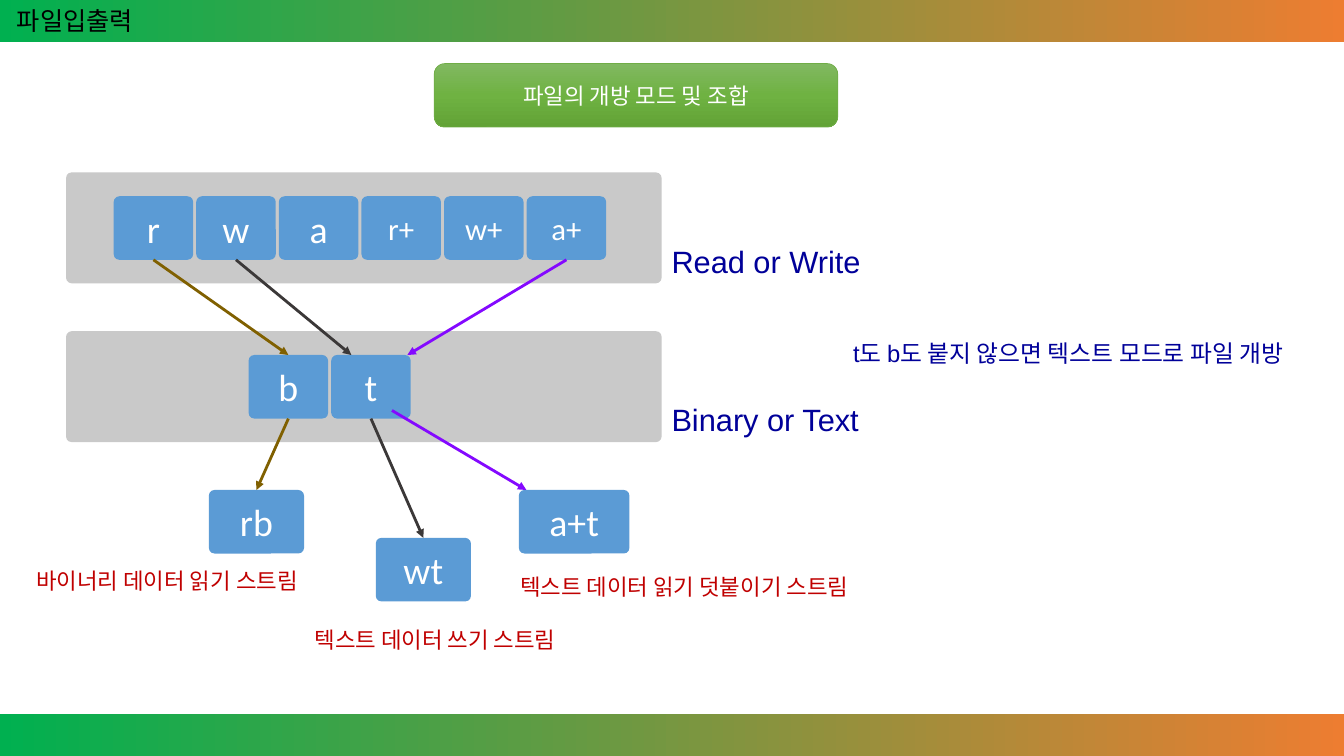
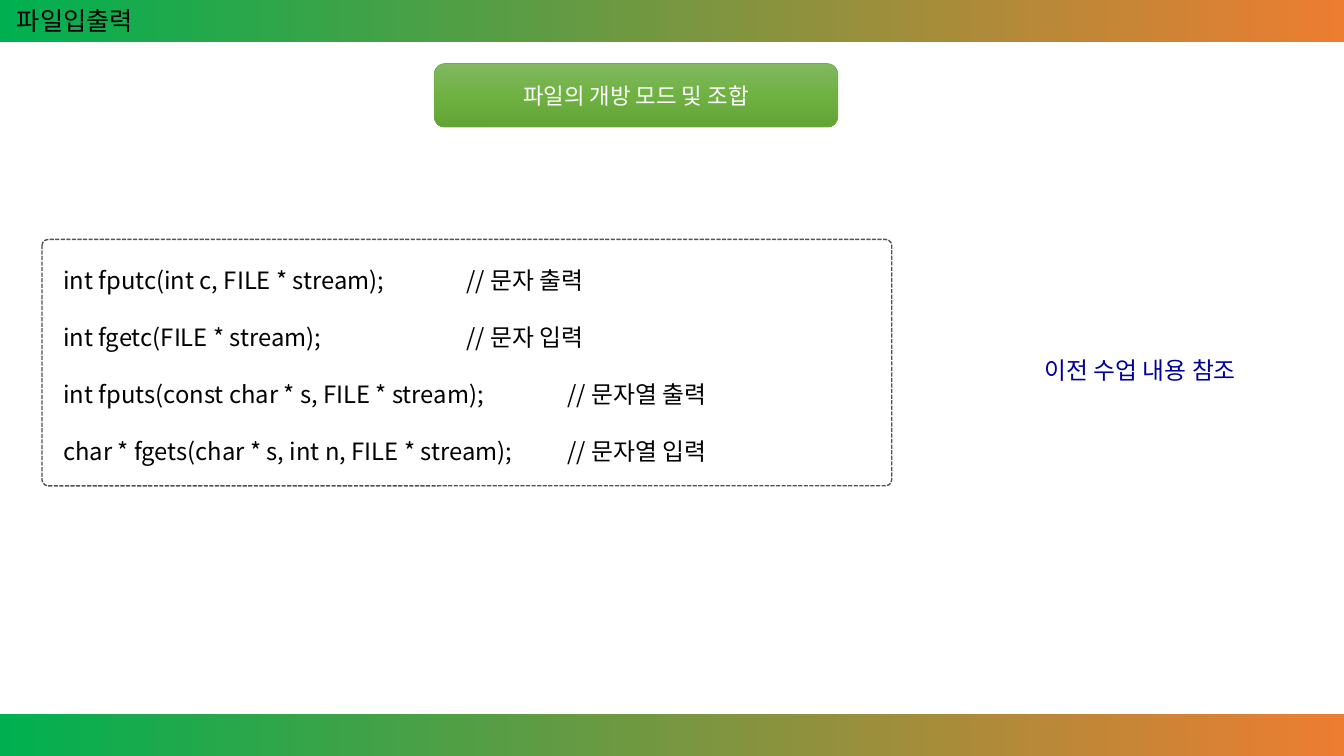
from dataclasses import dataclass
from typing import NamedTuple, Optional

from lxml.etree import SubElement
from pptx import Presentation
from pptx.dml.color import RGBColor
from pptx.enum.dml import MSO_LINE
from pptx.enum.shapes import MSO_CONNECTOR, MSO_SHAPE
from pptx.enum.text import MSO_ANCHOR, PP_ALIGN
from pptx.oxml.ns import qn
from pptx.presentation import Presentation as Deck
from pptx.shapes.autoshape import Shape
from pptx.slide import Slide
from pptx.util import Pt


@dataclass(frozen=True)
class Theme:
    band: tuple[str, ...] = ("00B050", "ED7D31")
    heading: tuple[str, ...] = ("81B861", "6FB242", "62A336")
    heading_line: str = "70AD47"
    panel: str = "C9C9C9"
    key: str = "5B9BD5"
    frame: str = "525252"
    black: str = "000000"
    white: str = "FFFFFF"
    navy: str = "000099"
    red: str = "C00000"
    brown: str = "806000"
    violet: str = "8409FF"
    charcoal: str = "3B3838"
    korean: str = "Noto Sans CJK KR"
    sans: str = "Arial"
    key_font: str = "Calibri"
    title_size: float = 18
    heading_size: float = 16
    key_size: float = 27
    small_key_size: float = 22
    label_size: float = 22
    caption_size: float = 16
    body_size: float = 17


T = Theme()


class Point(NamedTuple):
    x: float
    y: float


class Box(NamedTuple):
    x: float
    y: float
    w: float
    h: float

    @property
    def top(self) -> Point:
        return Point(self.x + self.w / 2, self.y)

    @property
    def bottom(self) -> Point:
        return Point(self.x + self.w / 2, self.y + self.h)


class Font(NamedTuple):
    name: str
    size: float
    color: str


class Arrow(NamedTuple):
    start: Point
    end: Point
    color: str


class Prototype(NamedTuple):
    code: str
    note: str
    tab: float


WIDTH, HEIGHT = 960, 540
BAND_H = 30
TITLE = Box(5, 0, 105, 29)
HEADING = Box(310.2, 45.4, 288.2, 45.4)

KEY_W, KEY_H, KEY_STEP = 56.8, 45.4, 59
PANEL = Box(47.2, 123.2, 425.4, 79.2)
PANEL_STEP = 113.4
KEY_INSET = 17
LABEL_INSET = 33.8

LABEL = Font(T.sans, T.label_size, T.navy)
CAPTION = Font(T.sans, T.caption_size, T.red)
REMARK = Font(T.sans, T.body_size, T.navy)
CODE = Font(T.korean, T.body_size, T.black)

PROTOTYPES = (
    Prototype("int fputc(int c, FILE * stream);", "// 문자 출력", 288),
    Prototype("int fgetc(FILE * stream);", "// 문자 입력", 288),
    Prototype("int fputs(const char * s, FILE * stream);", "// 문자열 출력", 360),
    Prototype("char * fgets(char * s, int n, FILE * stream);", "// 문자열 입력", 360),
)


def rgb(color: str) -> RGBColor:
    return RGBColor.from_string(color)


def lengths(box: Box) -> list[Pt]:
    return [Pt(v) for v in box]


def fill_gradient(s: Shape, colors: tuple[str, ...], angle: float) -> None:
    """Fill with evenly spaced stops; the angle runs counter-clockwise."""
    s.fill.gradient()
    s.fill.gradient_angle = angle
    stops = s.element.spPr.find(qn("a:gradFill")).find(qn("a:gsLst"))
    for stop in list(stops):
        stops.remove(stop)
    for i, color in enumerate(colors):
        stop = SubElement(stops, qn("a:gs"), pos=str(100000 * i // (len(colors) - 1)))
        SubElement(stop, qn("a:srgbClr"), val=color)


def write(s: Shape, text: str, font: Font, align: PP_ALIGN = PP_ALIGN.LEFT,
          spacing: Optional[float] = None) -> None:
    tf = s.text_frame
    tf.text = text
    for p in tf.paragraphs:
        p.alignment = align
        p.line_spacing = spacing
        for r in p.runs:
            r.font.name = font.name
            r.font.size = Pt(font.size)
            r.font.color.rgb = rgb(font.color)
            SubElement(r.font._element, qn("a:ea"), typeface=T.korean)


def add_panel(slide: Slide, box: Box, color: Optional[str] = None,
              corner: Optional[float] = None,
              kind: MSO_SHAPE = MSO_SHAPE.ROUNDED_RECTANGLE) -> Shape:
    """Draw a shape with neither outline nor shadow."""
    s = slide.shapes.add_shape(kind, *lengths(box))
    s.shadow.inherit = False
    s.line.fill.background()
    if color is None:
        s.fill.background()
    else:
        s.fill.solid()
        s.fill.fore_color.rgb = rgb(color)
    if corner is not None:
        s.adjustments[0] = corner
    return s


def add_key(slide: Slide, box: Box, text: str, size: float = T.key_size) -> None:
    s = add_panel(slide, box, T.key, 0.09)
    s.text_frame.vertical_anchor = MSO_ANCHOR.MIDDLE
    write(s, text, Font(T.key_font, size, T.white), PP_ALIGN.CENTER)


def add_text(slide: Slide, box: Box, text: str, font: Font,
             align: PP_ALIGN = PP_ALIGN.LEFT, spacing: Optional[float] = 1.5,
             anchor: MSO_ANCHOR = MSO_ANCHOR.MIDDLE, wrap: bool = True) -> Shape:
    s = slide.shapes.add_textbox(*lengths(box))
    s.text_frame.word_wrap = wrap
    s.text_frame.vertical_anchor = anchor
    write(s, text, font, align, spacing)
    return s


def add_arrow(slide: Slide, arrow: Arrow) -> None:
    c = slide.shapes.add_connector(
        MSO_CONNECTOR.STRAIGHT, *(Pt(v) for v in (*arrow.start, *arrow.end)))
    c.line.color.rgb = rgb(arrow.color)
    c.line.width = Pt(2)
    SubElement(c.line._get_or_add_ln(), qn("a:tailEnd"), type="triangle")
    SubElement(c.element.spPr, qn("a:effectLst"))


def add_master_bands(prs: Deck, slide: Slide) -> None:
    """Draw the bands on a slide, then move them to the master."""
    for i, y in enumerate((0, HEIGHT - BAND_H)):
        s = add_panel(slide, Box(0, y, WIDTH, BAND_H), T.white, kind=MSO_SHAPE.RECTANGLE)
        fill_gradient(s, T.band, 0)
        s.element.nvSpPr.cNvPr.set("id", str(101 + i))
        prs.slide_master.shapes.element.append(s.element)


def add_header(slide: Slide) -> None:
    add_text(slide, TITLE, "파일입출력", Font(T.korean, T.title_size, T.black),
             spacing=None, anchor=MSO_ANCHOR.TOP, wrap=False)
    s = add_panel(slide, HEADING)
    fill_gradient(s, T.heading, 270)
    s.line.color.rgb = rgb(T.heading_line)
    s.line.width = Pt(0.5)
    s.text_frame.vertical_anchor = MSO_ANCHOR.MIDDLE
    write(s, "파일의 개방 모드 및 조합", Font(T.korean, T.heading_size, T.white),
          PP_ALIGN.CENTER)


def add_key_row(slide: Slide, row: int, x: float, names: tuple[str, ...],
                label: str) -> dict[str, Box]:
    """Draw a grey panel with its keys and label; return the key boxes."""
    panel = PANEL._replace(y=PANEL.y + row * PANEL_STEP)
    add_panel(slide, panel, T.panel, 0.05)
    keys = {name: Box(x + i * KEY_STEP, panel.y + KEY_INSET, KEY_W, KEY_H)
            for i, name in enumerate(names)}
    for name, box in keys.items():
        add_key(slide, box, name, T.key_size if len(name) == 1 else T.small_key_size)
    add_text(slide, Box(panel.x + panel.w, panel.y + LABEL_INSET, 164, KEY_H), label, LABEL)
    return keys


def build_modes(slide: Slide) -> None:
    add_header(slide)
    access = add_key_row(slide, 0, 81.2, ("r", "w", "a", "r+", "w+", "a+"), "Read or Write")
    kind = add_key_row(slide, 1, 177.6, ("b", "t"), "Binary or Text")
    b, t = kind["b"], kind["t"]
    rb = Box(149.2, 350, 68, KEY_H)
    wt = Box(268.4, 384.2, 68, KEY_H)
    at = Box(370.6, 350, 79, KEY_H)
    for name, box in (("rb", rb), ("wt", wt), ("a+t", at)):
        add_key(slide, box, name)

    for arrow in (
        Arrow(access["r"].bottom, b.top, T.brown),
        Arrow(b.bottom, rb.top, T.brown),
        Arrow(access["a+"].bottom, Point(t.x + 54.4, t.y), T.violet),
        Arrow(Point(t.x + 43.4, t.y + 39.6), Point(at.x + 5.4, at.y), T.violet),
        Arrow(access["w"].bottom, Point(t.x + 14.4, t.y), T.charcoal),
        Arrow(t.bottom, wt.top, T.charcoal),
    ):
        add_arrow(slide, arrow)

    for box, text in (
        (Box(18.8, 393.2, 232.6, 34), "바이너리 데이터 읽기 스트림"),
        (Box(217.6, 435, 226, 34), "텍스트 데이터 쓰기 스트림"),
        (Box(364.4, 397, 289.4, 34), "텍스트 데이터 읽기 덧붙이기 스트림"),
    ):
        add_text(slide, box, text, CAPTION)
    add_text(slide, Box(579.6, 224.6, 367.2, KEY_H),
             "t도 b도 붙지 않으면 텍스트 모드로 파일 개방", REMARK, PP_ALIGN.CENTER)


def build_functions(slide: Slide) -> None:
    add_header(slide)
    frame = add_panel(slide, Box(30, 171, 607, 176), corner=0.025)
    frame.line.color.rgb = rgb(T.frame)
    frame.line.width = Pt(1)
    frame.line.dash_style = MSO_LINE.SQUARE_DOT

    s = add_text(slide, Box(38, 165.6, 516, 165.6),
                 "\n".join(f"{f.code}\t{f.note}" for f in PROTOTYPES),
                 CODE, spacing=2, anchor=MSO_ANCHOR.TOP)
    for p, f in zip(s.text_frame.paragraphs, PROTOTYPES):
        tabs = SubElement(p._p.get_or_add_pPr(), qn("a:tabLst"))
        SubElement(tabs, qn("a:tab"), pos=str(Pt(f.tab)), algn="l")
    add_text(slide, Box(669, 236.2, 291, KEY_H), "이전 수업 내용 참조", REMARK,
             PP_ALIGN.CENTER)


def main() -> None:
    prs = Presentation()
    prs.slide_width, prs.slide_height = Pt(WIDTH), Pt(HEIGHT)
    blank = prs.slide_layouts[6]
    modes, functions = (prs.slides.add_slide(blank) for _ in range(2))
    add_master_bands(prs, modes)
    build_modes(modes)
    build_functions(functions)
    prs.save("out.pptx")


if __name__ == "__main__":
    main()
